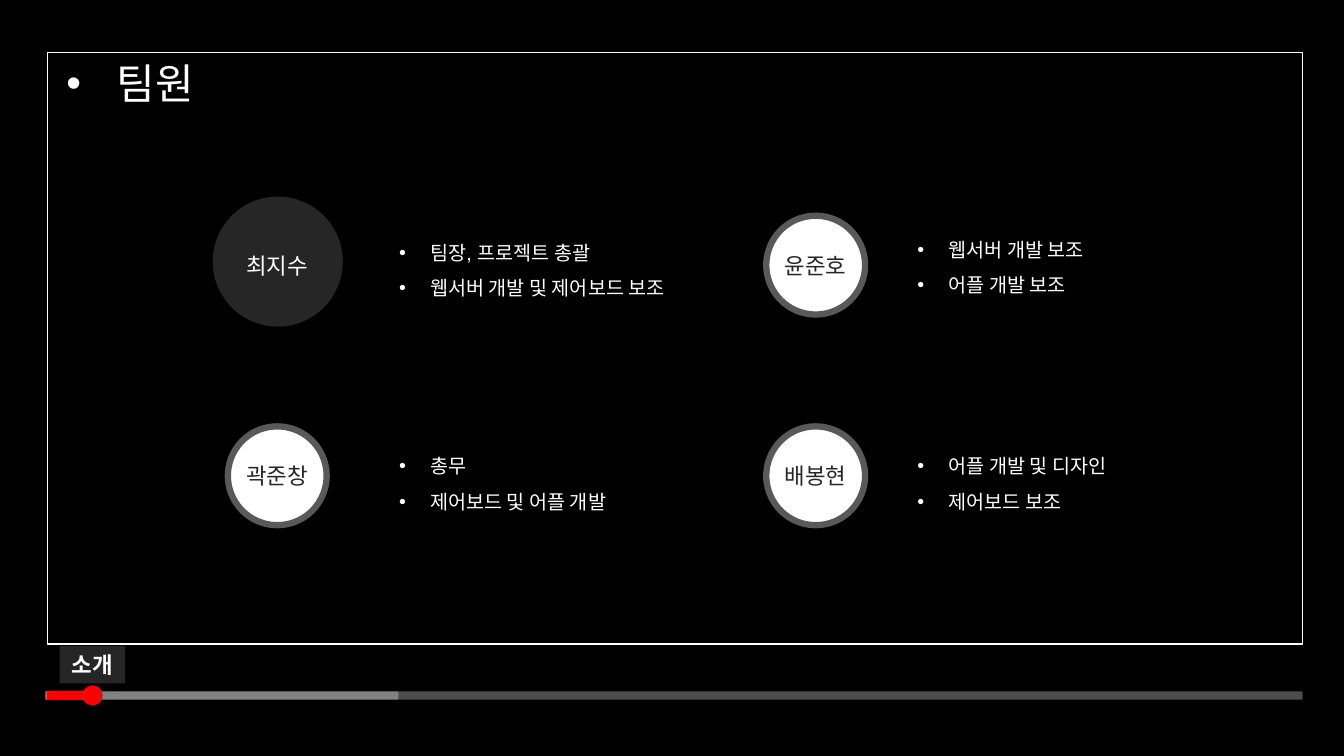
from dataclasses import dataclass

import pptx
import pptx.dml.color
import pptx.enum.shapes
import pptx.enum.text
import pptx.oxml.ns
import pptx.util
from lxml import etree

EMU_PER_PX = 9144  # 100 px to the inch
HANGUL_FONT = "Noto Sans CJK KR"
WHITE, DARK, RED = "FFFFFF", "262626", "FF0000"
CIRCLE = 98
LEADER_CIRCLE = 129

RECTANGLE = pptx.enum.shapes.MSO_SHAPE.RECTANGLE
OVAL = pptx.enum.shapes.MSO_SHAPE.OVAL
CENTER = pptx.enum.text.PP_ALIGN.CENTER


@dataclass
class Member:
    name: str
    circle_left: int
    circle_top: int
    duties_left: int
    duties_top: int
    duties_width: int
    duties: list[str]
    leader: bool = False


@dataclass
class TrackPart:
    start: int
    end: int
    color: str
    opacity: int = 100


MEMBERS = [
    Member("최지수", 211, 195, 386, 222, 315,
           ["팀장, 프로젝트 총괄", "웹서버 개발 및 제어보드 보조"], leader=True),
    Member("윤준호", 760, 214, 900, 219, 210, ["웹서버 개발 보조", "어플 개발 보조"]),
    Member("곽준창", 226, 423, 386, 434, 249, ["총무", "제어보드 및 어플 개발"]),
    Member("배봉현", 760, 423, 900, 434, 229, ["어플 개발 및 디자인", "제어보드 보조"]),
]
TRACK_Y = 690
TRACK = [
    TrackPart(45, 1292, WHITE, 30),
    TrackPart(45, 395, WHITE, 30),
    TrackPart(47, 82, RED),
]


def px(length: int) -> int:
    return pptx.util.Emu(length * EMU_PER_PX)


def rgb(color: str):
    return pptx.dml.color.RGBColor.from_string(color)


def add_xml(parent, tag: str, **attributes: str):
    return etree.SubElement(parent, pptx.oxml.ns.qn(tag), **attributes)


def write(shape, lines: list[str], *, size: int, color: str = WHITE, font: str = "Arial",
          bold: bool = False, align=None, spacing: float | None = None,
          bullet_indent: int = 0, wrap: bool = True, grow: bool = True,
          inset: int | None = None, middle: bool = False) -> None:
    frame = shape.text_frame
    frame.text = "\n".join(lines)
    frame.word_wrap = wrap
    if grow:
        frame.auto_size = pptx.enum.text.MSO_AUTO_SIZE.SHAPE_TO_FIT_TEXT
    frame.vertical_anchor = (pptx.enum.text.MSO_ANCHOR.MIDDLE if middle
                             else pptx.enum.text.MSO_ANCHOR.TOP)
    if inset is not None:
        frame.margin_left = frame.margin_right = px(inset)
        frame.margin_top = frame.margin_bottom = px(inset)
    for paragraph in frame.paragraphs:
        paragraph.alignment = align
        if spacing is not None:
            paragraph.line_spacing = spacing
        if bullet_indent:
            properties = paragraph._p.get_or_add_pPr()
            properties.set("marL", str(px(bullet_indent)))
            properties.set("indent", str(-px(bullet_indent)))
            add_xml(properties, "a:buFont", typeface="Arial")
            add_xml(properties, "a:buChar", char="•")
        for run in paragraph.runs:
            run.font.size = pptx.util.Pt(size)
            run.font.bold = bold
            run.font.name = font
            run.font.color.rgb = rgb(color)
            add_xml(run._r.get_or_add_rPr(), "a:ea", typeface=HANGUL_FONT)


def add_box(slide, kind, left: int, top: int, width: int, height: int, *,
            fill: str | None = None, line: str | None = None, weight: float = 1):
    box = slide.shapes.add_shape(kind, px(left), px(top), px(width), px(height))
    box.shadow.inherit = False
    if fill:
        box.fill.solid()
        box.fill.fore_color.rgb = rgb(fill)
    else:
        box.fill.background()
    if line:
        box.line.color.rgb = rgb(line)
        box.line.width = pptx.util.Pt(weight)
    else:
        box.line.fill.background()
    return box


def add_label(slide, left: int, top: int, width: int, height: int):
    return slide.shapes.add_textbox(px(left), px(top), px(width), px(height))


def add_track_part(slide, part: TrackPart) -> None:
    bar = slide.shapes.add_connector(pptx.enum.shapes.MSO_CONNECTOR.STRAIGHT,
                                     px(part.start), px(TRACK_Y), px(part.end), px(TRACK_Y))
    bar.line.width = pptx.util.Pt(6)
    bar.line.color.rgb = rgb(part.color)
    if part.opacity < 100:
        color = bar.line._ln.find(".//" + pptx.oxml.ns.qn("a:srgbClr"))
        add_xml(color, "a:alpha", val=str(part.opacity * 1000))
    add_xml(bar._element.spPr, "a:effectLst")


def add_member(slide, member: Member) -> None:
    left, top = member.circle_left, member.circle_top
    if member.leader:
        add_box(slide, OVAL, left, top, LEADER_CIRCLE, LEADER_CIRCLE, fill=DARK)
        write(add_label(slide, left + 9, top + 50, 110, 37), [member.name],
              size=16, align=CENTER)
    else:
        circle = add_box(slide, OVAL, left, top, CIRCLE, CIRCLE,
                         fill=WHITE, line="595959", weight=4.5)
        write(circle, [member.name], size=16, color=DARK, align=CENTER,
              grow=False, inset=0, middle=True)
    duties = add_label(slide, member.duties_left, member.duties_top, member.duties_width, 76)
    write(duties, member.duties, size=14, spacing=1.5, bullet_indent=31, wrap=False)


def main() -> None:
    presentation = pptx.Presentation()
    presentation.slide_width = px(1333)
    presentation.slide_height = px(750)
    slide = presentation.slides.add_slide(presentation.slide_layouts[6])
    slide.background.fill.solid()
    slide.background.fill.fore_color.rgb = rgb("000000")

    # Player screen and progress bar
    add_box(slide, RECTANGLE, 47, 52, 1245, 587, line=WHITE)
    for part in TRACK:
        add_track_part(slide, part)
    add_box(slide, OVAL, 82, 680, 20, 20, fill=RED)

    # Title and chapter tag
    write(add_label(slide, 56, 52, 155, 61), ["팀원"], size=30, font=HANGUL_FONT,
          bullet_indent=50, wrap=False)
    chapter = add_box(slide, RECTANGLE, 59, 641, 65, 37, fill=DARK)
    write(chapter, ["소개"], size=16, font=HANGUL_FONT, bold=True, align=CENTER)

    # Team members with their duties
    for member in MEMBERS:
        add_member(slide, member)

    presentation.save("out.pptx")


if __name__ == "__main__":
    main()
